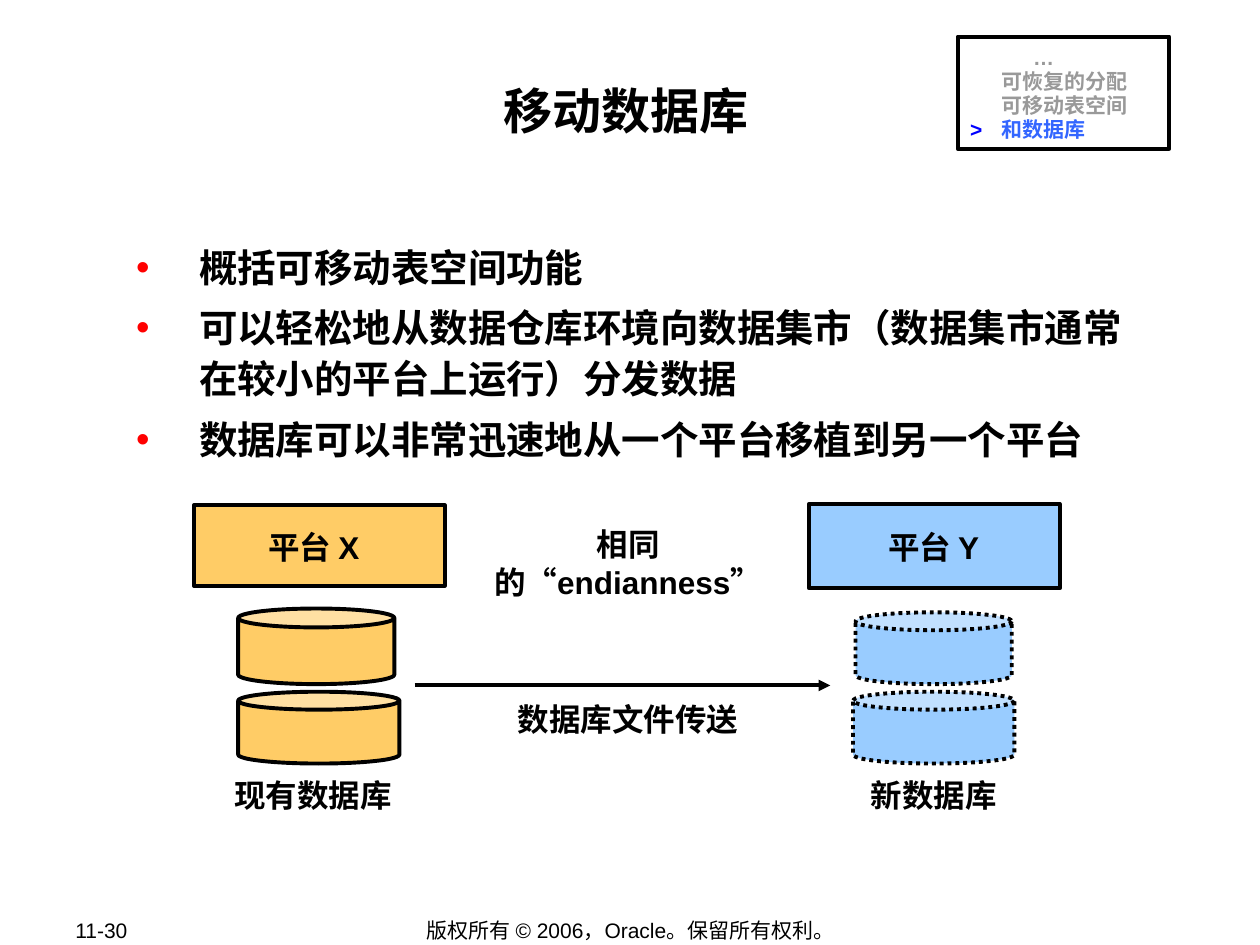
from lxml import etree
from pptx import Presentation
from pptx.dml.color import RGBColor
from pptx.enum import dml, shapes, text
from pptx.oxml.ns import qn
from pptx.util import Inches, Pt

BLACK, ORANGE, BLUE = "000000", "FFCC66", "99CCFF"
GREY, ACTIVE = "999999", "3366FF"


def rgb(value):
    return RGBColor.from_string(value)


def style(para, size, bold=True):
    """Give a paragraph its black Arial font with a Chinese companion font."""
    font = para.font
    font.size, font.bold, font.name = Pt(size), bold, "Arial"
    font.color.rgb = rgb(BLACK)
    props = para._p.pPr.find(qn("a:defRPr"))
    etree.SubElement(props, qn("a:ea"), typeface="Noto Sans CJK SC")


deck = Presentation()
deck.slide_width, deck.slide_height = Inches(10), Inches(7.5)
page = deck.slides.add_slide(deck.slide_layouts[1])

# Title and bullet list
title, body = page.placeholders
for holder, place in ((title, (0.97, 0.58, 8, 0.96)), (body, (0.94, 1.89, 8.06, 1.79))):
    holder.left, holder.top, holder.width, holder.height = map(Inches, place)
    frame = holder.text_frame
    frame.margin_left = frame.margin_right = Inches(0.01)
    frame.margin_top = frame.margin_bottom = Inches(0.01)
    frame.vertical_anchor = text.MSO_ANCHOR.TOP
    frame.auto_size = text.MSO_AUTO_SIZE.NONE
    frame.word_wrap = True

title.text_frame.text = "移动数据库"
heading = title.text_frame.paragraphs[0]
heading.alignment = text.PP_ALIGN.CENTER
heading.line_spacing = 1.1
style(heading, 28)

body.text_frame.text = "\n".join([
    "概括可移动表空间功能",
    "可以轻松地从数据仓库环境向数据集市（数据集市通常在较小的平台上运行）分发数据",
    "数据库可以非常迅速地从一个平台移植到另一个平台",
])
for index, para in enumerate(body.text_frame.paragraphs):
    para.line_spacing = 1.1
    para.space_before = Pt(5.5 if index else 0)
    props = para._p.get_or_add_pPr()
    props.set("marL", str(Inches(0.63)))
    props.set("indent", str(Inches(-0.5)))
    color = etree.SubElement(props, qn("a:buClr"))
    etree.SubElement(color, qn("a:srgbClr"), val="FF0000")
    etree.SubElement(props, qn("a:buChar"), char="•")
    style(para, 22)

# Platforms, database files and the menu frame
RECT, CAN = shapes.MSO_SHAPE.RECTANGLE, shapes.MSO_SHAPE.CAN
for kind, place, fill, dotted in (
    (RECT, (1.54, 4.01, 1.99, 0.64), ORANGE, False),
    (RECT, (6.42, 4, 1.99, 0.67), BLUE, False),
    (CAN, (1.89, 4.83, 1.24, 0.6), ORANGE, False),
    (CAN, (1.89, 5.49, 1.28, 0.57), ORANGE, False),
    (CAN, (6.79, 4.86, 1.24, 0.57), BLUE, True),
    (CAN, (6.77, 5.49, 1.28, 0.57), BLUE, True),
    (RECT, (7.6, 0.29, 1.68, 0.89), "FFFFFF", False),
):
    shape = page.shapes.add_shape(kind, *map(Inches, place))
    shape.shadow.inherit = False
    shape.fill.solid()
    shape.fill.fore_color.rgb = rgb(fill)
    shape.line.color.rgb = rgb(BLACK)
    shape.line.width = Pt(2.25)
    if dotted:
        shape.line.dash_style = dml.MSO_LINE.ROUND_DOT
menu = shape.text_frame

# Transfer arrow
arrow = page.shapes.add_connector(
    shapes.MSO_CONNECTOR.STRAIGHT, Inches(3.29), Inches(5.44), Inches(6.59), Inches(5.44))
arrow.line.color.rgb = rgb(BLACK)
arrow.line.width = Pt(2.25)
etree.SubElement(arrow.line._get_or_add_ln(), qn("a:tailEnd"), type="triangle")
etree.SubElement(arrow._element.spPr, qn("a:effectLst"))

# Labels and footer
CENTER, LEFT, MIDDLE, TOP = (text.PP_ALIGN.CENTER, text.PP_ALIGN.LEFT,
                             text.MSO_ANCHOR.MIDDLE, text.MSO_ANCHOR.TOP)
for words, place, size, align, anchor in (
    ("平台 X", (2, 4.14, 0.98, 0.4), 18, CENTER, TOP),
    ("平台 Y", (6.92, 4.14, 0.98, 0.4), 18, CENTER, TOP),
    ("相同\v的|“|endianness|”", (3.55, 4.12, 2.87, 0.4), 18, CENTER, TOP),
    ("数据库文件传送", (4.01, 5.51, 1.95, 0.4), 18, CENTER, TOP),
    ("现有数据库", (1.76, 6.11, 1.45, 0.4), 18, CENTER, TOP),
    ("新数据库", (6.81, 6.11, 1.2, 0.4), 18, CENTER, TOP),
    ("11-30", (0.5, 7.28, 1.06, 0.2), 12, LEFT, MIDDLE),
    ("版权所有 © 2006，Oracle。保留所有权利。", (2.76, 7.28, 4.49, 0.21), 12, CENTER, MIDDLE),
):
    box = page.shapes.add_textbox(*map(Inches, place))
    box.text_frame.word_wrap = False
    box.text_frame.vertical_anchor = anchor
    para = box.text_frame.paragraphs[0]
    para.alignment = align
    style(para, size, bold=size > 12)
    first, *others = words.split("|")
    for index, part in enumerate(first.split("\v")):
        if index:
            para.add_line_break()
        para.add_run().text = part
    for part in others:
        span = para.add_run()
        span.text = part
        if part in "“”":
            span.font.name = "Times New Roman"

# Lesson menu
menu.vertical_anchor = TOP
menu.word_wrap = True
for index, (size, spans) in enumerate((
    (14, [("\t\t", BLACK), ("…", GREY)]),
    (12, [("\t可恢复的分配", GREY)]),
    (12, [("\t可移动表空间", GREY)]),
    (12, [(">\t", "0000FF"), ("和数据库", ACTIVE)]),
)):
    para = menu.add_paragraph() if index else menu.paragraphs[0]
    para.alignment = LEFT
    para.line_spacing = 0.95
    tabs = etree.SubElement(para._p.get_or_add_pPr(), qn("a:tabLst"))
    for stop in (0.25, 0.5):
        etree.SubElement(tabs, qn("a:tab"), pos=str(Inches(stop)), algn="l")
    style(para, size)
    for words, color in spans:
        span = para.add_run()
        span.text = words
        span.font.color.rgb = rgb(color)
        if words == "…":
            span.font.size = Pt(12)

deck.save("out.pptx")
